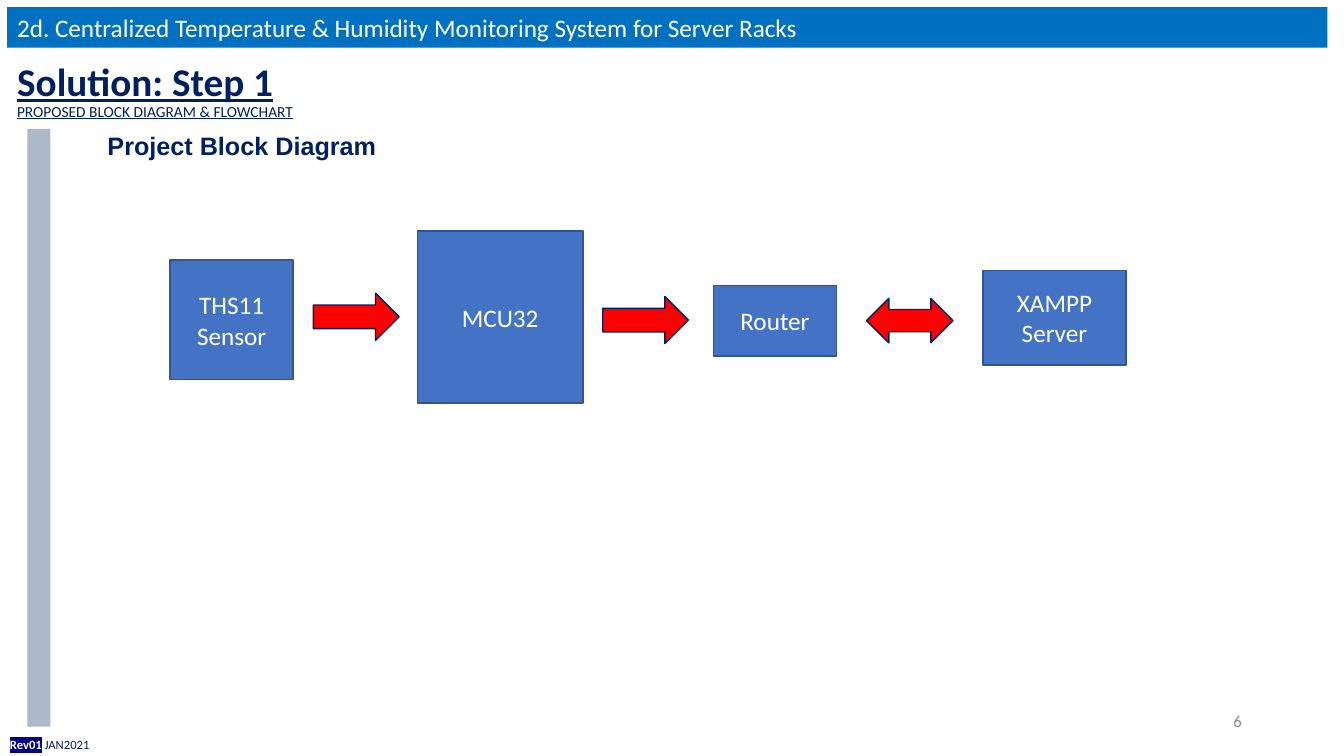
"""Build the project block diagram slide of the server rack monitoring deck."""
from dataclasses import dataclass
from typing import Optional

from lxml.etree import Element, SubElement
from pptx import Presentation
from pptx.dml.color import RGBColor
from pptx.enum.shapes import MSO_SHAPE
from pptx.enum.text import MSO_ANCHOR, MSO_AUTO_SIZE, PP_ALIGN
from pptx.oxml.ns import qn
from pptx.shapes.autoshape import Shape
from pptx.slide import Slide
from pptx.util import Cm, Pt

WHITE = RGBColor(0xFF, 0xFF, 0xFF)
NAVY = RGBColor(0x00, 0x20, 0x60)
BANNER_BLUE = RGBColor(0x00, 0x70, 0xC0)
BLOCK_BLUE = RGBColor(0x44, 0x72, 0xC4)
BLOCK_EDGE = RGBColor(0x32, 0x54, 0x91)
ARROW_RED = RGBColor(0xFF, 0x00, 0x00)
BAR_GREY = RGBColor(0xAD, 0xB9, 0xCA)
NUMBER_GREY = RGBColor(0x8C, 0x8C, 0x8C)
REVISION_BLUE = RGBColor(0x00, 0x00, 0x80)


@dataclass(frozen=True)
class Place:
    """Position and size in centimetres."""
    left: float
    top: float
    width: float
    height: float


@dataclass(frozen=True)
class Style:
    """Look of a run of text."""
    size: float
    color: RGBColor
    font: str = "Calibri"
    bold: bool = False
    underline: bool = False
    highlight: Optional[RGBColor] = None


@dataclass(frozen=True)
class Figure:
    """Filled shape with optional outline and centred lines of text."""
    place: Place
    fill: RGBColor
    edge: Optional[RGBColor] = None
    kind: MSO_SHAPE = MSO_SHAPE.RECTANGLE
    lines: tuple[str, ...] = ()


@dataclass(frozen=True)
class Label:
    """Text box holding one paragraph of styled runs."""
    place: Place
    spans: tuple[tuple[str, Style], ...]
    align: PP_ALIGN = PP_ALIGN.LEFT
    anchor: MSO_ANCHOR = MSO_ANCHOR.TOP
    wrap: bool = True
    indent: float = 0
    spacing: float = 1


LIGHT = Style(18, WHITE)
TITLE = Label(Place(0.18, 1.32, 7.04, 1.45),
              (("Solution: Step 1", Style(28, NAVY, bold=True, underline=True)),), wrap=False)
BANNER = Figure(Place(0.18, 0.18, 33.27, 1.02), BANNER_BLUE)
BANNER_TEXT = Label(
    BANNER.place,
    (("2d. Centralized Temperature & Humidity Monitoring System for Server Racks", LIGHT),))

LABELS = (
    Label(Place(23.93, 17.65, 7.62, 1.02), (("6", Style(12, NUMBER_GREY)),),
          align=PP_ALIGN.RIGHT, anchor=MSO_ANCHOR.MIDDLE),
    Label(Place(1.19, 2.77, 31.55, 1.27),
          (("Project Block Diagram", Style(18, NAVY, "Arial", bold=True)),),
          indent=1.27, spacing=1.5),
    Label(Place(0, 18.44, 33.91, 0.64),
          (("Rev01", Style(9, WHITE, bold=True, highlight=REVISION_BLUE)),
           (" JAN2021", Style(9, NAVY)))),
    Label(Place(0.18, 2.44, 7.54, 0.74),
          (("PROPOSED BLOCK DIAGRAM & FLOWCHART", Style(11, NAVY, underline=True)),),
          wrap=False),
)

FIGURES = (
    Figure(Place(4.29, 6.55, 3.1, 3.02), BLOCK_BLUE, BLOCK_EDGE, lines=("THS11", "Sensor")),
    Figure(Place(10.52, 5.82, 4.17, 4.34), BLOCK_BLUE, BLOCK_EDGE, lines=("MCU32",)),
    Figure(Place(17.98, 7.19, 3.1, 1.78), BLOCK_BLUE, BLOCK_EDGE, lines=("Router",)),
    Figure(Place(24.77, 6.81, 3.61, 2.39), BLOCK_BLUE, BLOCK_EDGE, lines=("XAMPP Server",)),
    Figure(Place(7.9, 7.39, 2.16, 1.19), ARROW_RED, NAVY, MSO_SHAPE.RIGHT_ARROW),
    Figure(Place(15.19, 7.47, 2.16, 1.19), ARROW_RED, NAVY, MSO_SHAPE.RIGHT_ARROW),
    Figure(Place(21.84, 7.52, 2.18, 1.12), ARROW_RED, NAVY, MSO_SHAPE.LEFT_RIGHT_ARROW),
    Figure(Place(0.69, 3.25, 0.58, 15.06), BAR_GREY),
)


def lengths(place: Place) -> tuple[Cm, Cm, Cm, Cm]:
    """Return the place as slide lengths."""
    return Cm(place.left), Cm(place.top), Cm(place.width), Cm(place.height)


def add_span(para, text: str, style: Style) -> None:
    """Append one styled run to a paragraph."""
    span = para.add_run()
    span.text = text
    font = span.font
    font.size, font.name = Pt(style.size), style.font
    font.bold, font.underline = style.bold, style.underline
    font.color.rgb = style.color
    if style.highlight is not None:
        highlight = Element(qn("a:highlight"))
        SubElement(highlight, qn("a:srgbClr")).set("val", str(style.highlight))
        span._r.get_or_add_rPr().find(qn("a:solidFill")).addnext(highlight)


def write_label(box: Shape, label: Label) -> None:
    """Place a text shape and write the label into it."""
    box.left, box.top, box.width, box.height = lengths(label.place)
    frame = box.text_frame
    frame.auto_size = MSO_AUTO_SIZE.NONE
    frame.word_wrap = label.wrap
    frame.vertical_anchor = label.anchor
    para = frame.paragraphs[0]
    para.alignment = label.align
    para.line_spacing = label.spacing
    if label.indent:
        properties = para._p.get_or_add_pPr()
        properties.set("marL", str(Cm(label.indent)))
        properties.set("indent", "0")
    for text, style in label.spans:
        add_span(para, text, style)


def add_figure(page: Slide, figure: Figure) -> Shape:
    """Draw a filled shape with its centred lines of text."""
    shape = page.shapes.add_shape(figure.kind, *lengths(figure.place))
    shape.shadow.inherit = False
    shape.fill.solid()
    shape.fill.fore_color.rgb = figure.fill
    if figure.edge is None:
        shape.line.fill.background()
    else:
        shape.line.color.rgb = figure.edge
        shape.line.width = Pt(1)
    frame = shape.text_frame
    frame.word_wrap = True
    frame.vertical_anchor = MSO_ANCHOR.MIDDLE
    for index, text in enumerate(figure.lines):
        para = frame.add_paragraph() if index else frame.paragraphs[0]
        para.alignment = PP_ALIGN.CENTER
        add_span(para, text, LIGHT)
    return shape


def main() -> None:
    """Build and save the deck."""
    deck = Presentation()
    deck.slide_width, deck.slide_height = Cm(33.87), Cm(19.05)
    page = deck.slides.add_slide(deck.slide_layouts[5])
    write_label(page.shapes.title, TITLE)
    write_label(add_figure(page, BANNER), BANNER_TEXT)
    for figure in FIGURES:
        add_figure(page, figure)
    for label in LABELS:
        write_label(page.shapes.add_textbox(*lengths(label.place)), label)
    deck.save("out.pptx")


if __name__ == "__main__":
    main()
